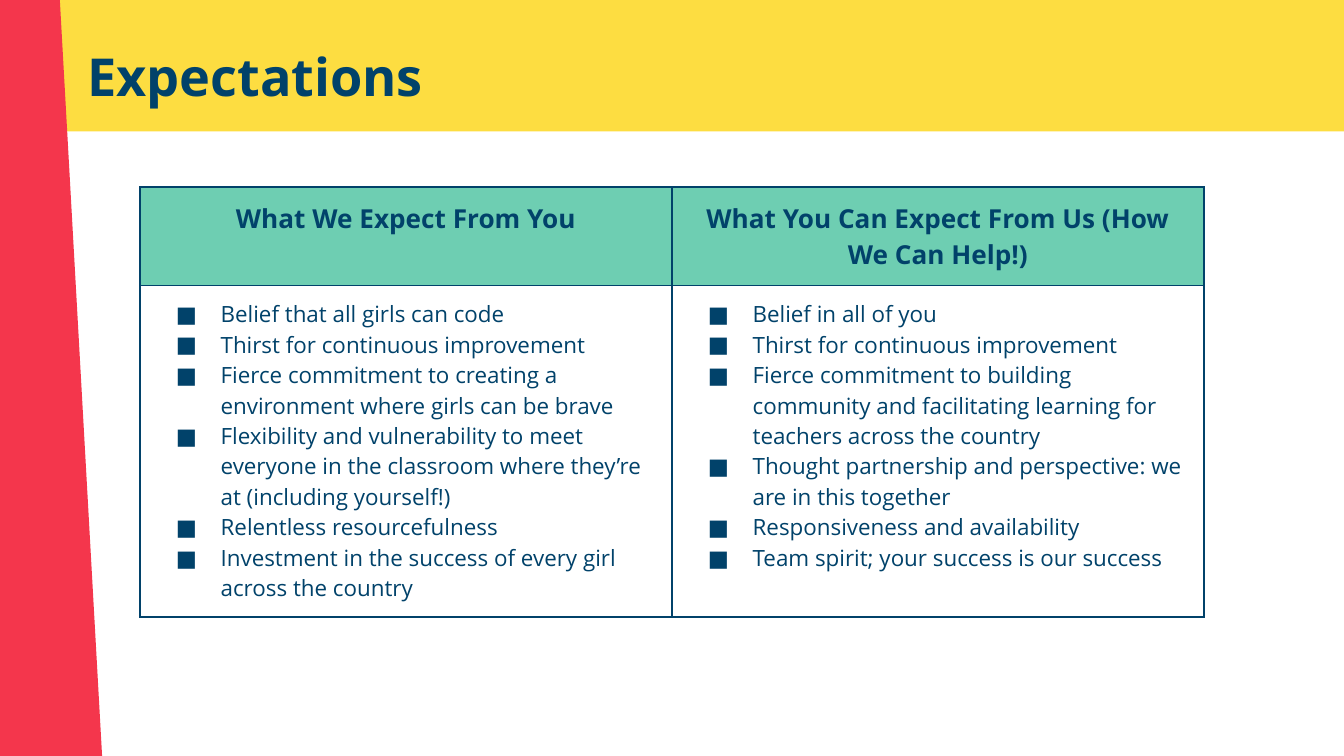
from dataclasses import dataclass

from lxml import etree
from pptx import Presentation
from pptx.dml.color import RGBColor
from pptx.enum.shapes import MSO_SHAPE
from pptx.enum.text import MSO_ANCHOR, MSO_AUTO_SIZE, PP_ALIGN
from pptx.oxml.ns import qn
from pptx.util import Pt

RECTANGLE = MSO_SHAPE.RECTANGLE
TOP = MSO_ANCHOR.TOP
NO_AUTOFIT = MSO_AUTO_SIZE.NONE
LEFT, CENTER = PP_ALIGN.LEFT, PP_ALIGN.CENTER
TITLE_ONLY = 5


@dataclass(frozen=True)
class Theme:
    font: str = "Open Sans"
    navy: str = "01426A"
    yellow: str = "FDDD41"
    red: str = "F4364C"
    green: str = "6ECEB2"
    title_size: int = 28
    heading_size: int = 14
    body_size: int = 12
    border: float = 0.75
    inset: float = 7.2


THEME = Theme()

EXPECTATIONS = {
    "What We Expect From You": [
        "Belief that all girls can code",
        "Thirst for continuous improvement",
        "Fierce commitment to creating a environment where girls can be brave",
        "Flexibility and vulnerability to meet everyone in the classroom "
        "where they’re at (including yourself!)",
        "Relentless resourcefulness",
        "Investment in the success of every girl across the country",
    ],
    "What You Can Expect From Us (How We Can Help!)": [
        "Belief in all of you",
        "Thirst for continuous improvement",
        "Fierce commitment to building community and facilitating learning "
        "for teachers across the country",
        "Thought partnership and perspective: we are in this together",
        "Responsiveness and availability",
        "Team spirit; your success is our success",
    ],
}


def add_color(parent, color):
    etree.SubElement(parent, qn("a:srgbClr"), val=color)


def add_bullet(paragraph):
    properties = paragraph._p.get_or_add_pPr()
    properties.set("marL", str(Pt(36)))
    properties.set("indent", str(Pt(-24)))
    add_color(etree.SubElement(properties, qn("a:buClr")), THEME.navy)
    etree.SubElement(properties, qn("a:buFont"), typeface=THEME.font)
    etree.SubElement(properties, qn("a:buChar"), char="■")


def write_text(frame, lines, *, size, bold=False, align=LEFT, bullets=False):
    frame.word_wrap = True
    for index, line in enumerate(lines):
        paragraph = frame.add_paragraph() if index else frame.paragraphs[0]
        if bullets:
            add_bullet(paragraph)
        paragraph.alignment = align
        paragraph.line_spacing = 1.0
        paragraph.space_before = paragraph.space_after = Pt(0)
        run = paragraph.add_run()
        run.text = line
        run.font.name = THEME.font
        run.font.size = Pt(size)
        run.font.bold = bold
        run.font.color.rgb = RGBColor.from_string(THEME.navy)


def add_band(slide, left, top, width, height, color, rotation=0):
    band = slide.shapes.add_shape(RECTANGLE, Pt(left), Pt(top), Pt(width), Pt(height))
    band.rotation = rotation
    band.shadow.inherit = False
    band.fill.solid()
    band.fill.fore_color.rgb = RGBColor.from_string(color)
    band.line.fill.background()


def place_title(slide, text):
    title = slide.shapes.title
    slide.shapes._spTree.append(title._element)
    title.left, title.top, title.width, title.height = Pt(39.6), Pt(18.7), Pt(671), Pt(45.4)
    frame = title.text_frame
    frame.auto_size = NO_AUTOFIT
    frame.vertical_anchor = TOP
    frame.margin_left = frame.margin_right = Pt(THEME.inset)
    frame.margin_top, frame.margin_bottom = Pt(5), Pt(0)
    write_text(frame, [text], size=THEME.title_size, bold=True)


def format_cell(cell, fill=None):
    cell.margin_left = cell.margin_right = Pt(THEME.inset)
    cell.margin_top = cell.margin_bottom = Pt(THEME.inset)
    cell.vertical_anchor = TOP
    if fill:
        cell.fill.solid()
        cell.fill.fore_color.rgb = RGBColor.from_string(fill)
    else:
        cell.fill.background()
    properties = cell._tc.get_or_add_tcPr()
    for index, side in enumerate(("lnL", "lnR", "lnT", "lnB")):
        border = etree.Element(qn(f"a:{side}"), w=str(Pt(THEME.border)))
        add_color(etree.SubElement(border, qn("a:solidFill")), THEME.navy)
        properties.insert(index, border)


def add_expectations(slide, columns):
    column_width, heading_height, body_height = 285, 52.5, 177.5
    table = slide.shapes.add_table(
        2, len(columns), Pt(75), Pt(100.2),
        Pt(column_width * len(columns)), Pt(heading_height + body_height),
    ).table
    table.first_row = table.horz_banding = False
    table.rows[0].height = Pt(heading_height)
    table.rows[1].height = Pt(body_height)
    for index, (heading, items) in enumerate(columns.items()):
        table.columns[index].width = Pt(column_width)
        heading_cell, items_cell = table.cell(0, index), table.cell(1, index)
        format_cell(heading_cell, THEME.green)
        format_cell(items_cell)
        write_text(heading_cell.text_frame, [heading], size=THEME.heading_size,
                   bold=True, align=CENTER)
        write_text(items_cell.text_frame, items, size=THEME.body_size, bullets=True)


def main():
    deck = Presentation()
    deck.slide_width, deck.slide_height = Pt(720), Pt(405)
    slide = deck.slides.add_slide(deck.slide_layouts[TITLE_ONLY])
    add_band(slide, -60.5, -5, 792, 75.4, THEME.yellow)
    add_band(slide, -369.4, 50.4, 735, 77.8, THEME.red, rotation=86.8)
    place_title(slide, "Expectations")
    add_expectations(slide, EXPECTATIONS)
    deck.save("out.pptx")


if __name__ == "__main__":
    main()
